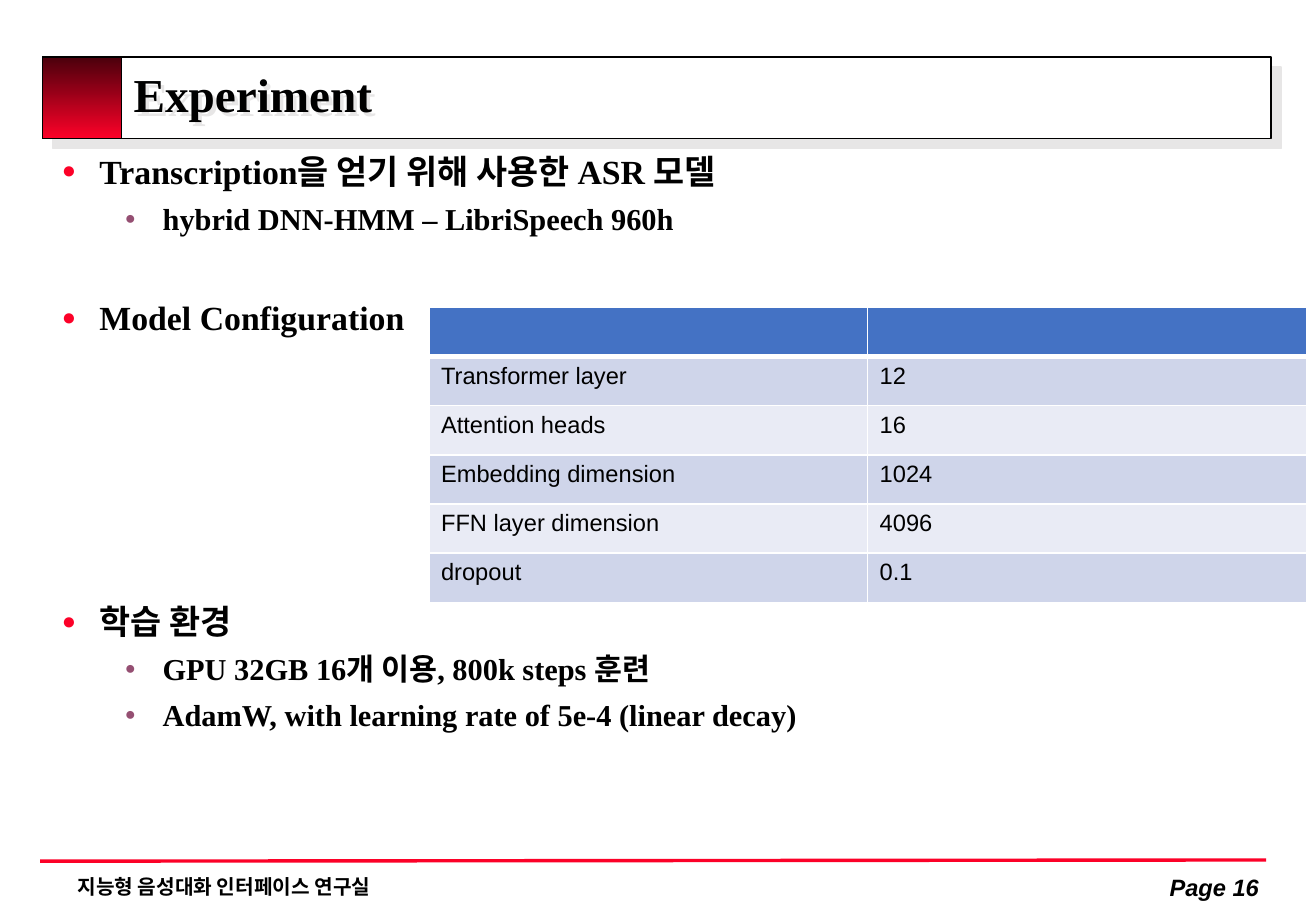
from dataclasses import dataclass

from lxml import etree
from pptx import Presentation
from pptx.dml.color import RGBColor
from pptx.enum.shapes import MSO_CONNECTOR, MSO_SHAPE
from pptx.enum.text import MSO_ANCHOR, MSO_AUTO_SIZE, PP_ALIGN
from pptx.oxml.ns import qn
from pptx.util import Inches, Pt

RECTANGLE = MSO_SHAPE.RECTANGLE
STRAIGHT = MSO_CONNECTOR.STRAIGHT
TOP, MIDDLE = MSO_ANCHOR.TOP, MSO_ANCHOR.MIDDLE
LEFT, RIGHT = PP_ALIGN.LEFT, PP_ALIGN.RIGHT
NO_AUTOFIT = MSO_AUTO_SIZE.NONE
TITLE_ONLY = 5


@dataclass(frozen=True)
class Theme:
    serif: str = "Times New Roman"
    sans: str = "Arial"
    ink: str = "000000"
    paper: str = "FFFFFF"
    accent: str = "FC0128"
    accent_dark: str = "4B000C"
    sub_bullet: str = "954F72"
    shadow: str = "E7E6E6"
    header: str = "4472C4"
    bands: tuple = ("CFD5EA", "E9EBF5")
    title_size: int = 28
    topic_size: int = 20
    detail_size: int = 18
    label_size: int = 14
    footer_size: int = 12


def rgb(value):
    return RGBColor.from_string(value)


def child(parent, tag, **attributes):
    return etree.SubElement(parent, qn(tag), attributes)


class SlideBuilder:
    def __init__(self, slide, theme):
        self.slide = slide
        self.theme = theme

    def format_runs(self, paragraph, size, font, bold=True, italic=False):
        for run in paragraph.runs:
            run.font.size = Pt(size)
            run.font.name = font
            run.font.bold = bold
            run.font.italic = italic
            run.font.color.rgb = rgb(self.theme.ink)

    def cast_shadow(self, shape, distance):
        shape.shadow.inherit = False
        effects = shape._element.spPr.find(qn("a:effectLst"))
        shadow = child(effects, "a:outerShdw", dist=str(Pt(distance)),
                       dir="2700000", algn="ctr", rotWithShape="0")
        child(shadow, "a:srgbClr", val=self.theme.shadow)

    def rectangle(self, left, top, width, height, gradient=None, shadow=0):
        box = self.slide.shapes.add_shape(
            RECTANGLE, Inches(left), Inches(top), Inches(width), Inches(height))
        box.shadow.inherit = False
        box.line.color.rgb = rgb(self.theme.ink)
        box.line.width = Pt(1)
        if gradient:
            box.fill.gradient()
            box.fill.gradient_angle = 270
            for stop, color in zip(box.fill.gradient_stops, gradient):
                stop.color.rgb = rgb(color)
        else:
            box.fill.solid()
            box.fill.fore_color.rgb = rgb(self.theme.paper)
        if shadow:
            self.cast_shadow(box, shadow)

    def rule(self, x1, y1, x2, y2):
        line = self.slide.shapes.add_connector(
            STRAIGHT, Inches(x1), Inches(y1), Inches(x2), Inches(y2))
        line.line.color.rgb = rgb(self.theme.accent)
        line.line.width = Pt(2)
        child(line._element.spPr, "a:effectLst")

    def title(self, text, left, top, width, height):
        heading = self.slide.shapes.title
        heading.left, heading.top = Inches(left), Inches(top)
        heading.width, heading.height = Inches(width), Inches(height)
        frame = heading.text_frame
        frame.text = text
        frame.vertical_anchor = MIDDLE
        frame.auto_size = NO_AUTOFIT
        paragraph = frame.paragraphs[0]
        paragraph.alignment = LEFT
        paragraph.line_spacing = 0.8
        self.format_runs(paragraph, self.theme.title_size, self.theme.serif)
        self.cast_shadow(heading, 3)
        self.slide.shapes._spTree.append(heading._element)

    def text_box(self, left, top, width, height, anchor=TOP, wrap=True):
        frame = self.slide.shapes.add_textbox(
            Inches(left), Inches(top), Inches(width), Inches(height)).text_frame
        frame.word_wrap = wrap
        frame.vertical_anchor = anchor
        return frame

    def label(self, text, left, top, width, height, size,
              align=LEFT, anchor=TOP, wrap=True, italic=False):
        frame = self.text_box(left, top, width, height, anchor, wrap)
        frame.text = text
        frame.paragraphs[0].alignment = align
        self.format_runs(frame.paragraphs[0], size, self.theme.sans, italic=italic)

    def bullets(self, items, left, top, width, height):
        theme = self.theme
        styles = ((theme.topic_size, 0.31, theme.accent, 70),
                  (theme.detail_size, 0.83, theme.sub_bullet, 60))
        frame = self.text_box(left, top, width, height)
        frame.text = "\n".join(text for _, _, text in items)
        for paragraph, (level, gap, _) in zip(frame.paragraphs, items):
            size, indent, color, scale = styles[level]
            paragraph.level = level
            paragraph.space_before = Pt(gap)
            self.format_runs(paragraph, size, theme.serif)
            properties = paragraph._p.get_or_add_pPr()
            properties.set("marL", str(Inches(indent)))
            properties.set("indent", str(Inches(-0.31)))
            child(child(properties, "a:buClr"), "a:srgbClr", val=color)
            child(properties, "a:buSzPct", val=str(scale * 1000))
            child(properties, "a:buFont", typeface=theme.sans)
            child(properties, "a:buChar", char="●")

    def border(self, cell, header):
        properties = cell._tc.get_or_add_tcPr()
        for side in ("L", "R", "T", "B"):
            width = 3 if header and side == "B" else 1
            edge = child(properties, f"a:ln{side}", w=str(Pt(width)))
            child(child(edge, "a:solidFill"), "a:srgbClr", val=self.theme.paper)

    def settings_table(self, settings, left, top, width, height):
        rows = [("", ""), *settings]
        table = self.slide.shapes.add_table(
            len(rows), 2, Inches(left), Inches(top), Inches(width), Inches(height)).table
        for row, values in enumerate(rows):
            color = self.theme.bands[(row - 1) % 2] if row else self.theme.header
            for column, value in enumerate(values):
                cell = table.cell(row, column)
                self.border(cell, header=row == 0)
                cell.fill.solid()
                cell.fill.fore_color.rgb = rgb(color)
                if value:
                    cell.text = value
                    self.format_runs(cell.text_frame.paragraphs[0],
                                     self.theme.label_size, self.theme.sans, bold=False)


def main():
    deck = Presentation()
    deck.slide_width, deck.slide_height = Inches(10.83), Inches(7.5)
    theme = Theme()
    page = SlideBuilder(deck.slides.add_slide(deck.slide_layouts[TITLE_ONLY]), theme)

    page.rectangle(0.35, 0.47, 10.11, 0.67, shadow=8.5)
    page.rectangle(0.35, 0.47, 0.65, 0.67, gradient=(theme.accent_dark, theme.accent))
    page.rule(0.33, 7.09, 10.42, 7.08)
    page.label("지능형 음성대화 인터페이스 연구실", 0.54, 7.15, 7.24, 0.3, theme.footer_size)
    page.title("Experiment", 1, 0.44, 9.5, 0.75)
    page.bullets([
        (0, 6, "Transcription을 얻기 위해 사용한 ASR 모델"),
        (1, 5.5, "hybrid DNN-HMM – LibriSpeech 960h"),
        (0, 35.7, "Model Configuration"),
        (0, 156, "학습 환경"),
        (1, 5.5, "GPU 32GB 16개 이용, 800k steps 훈련"),
        (1, 5.5, "AdamW, with learning rate of 5e-4 (linear decay)"),
    ], 0.41, 1.19, 10.12, 5.75)
    page.label("Page 16", 9.29, 7.14, 1.17, 0.33, theme.label_size,
               align=RIGHT, anchor=MIDDLE, wrap=False, italic=True)
    page.settings_table([
        ("Transformer layer", "12"),
        ("Attention heads", "16"),
        ("Embedding dimension", "1024"),
        ("FFN layer dimension", "4096"),
        ("dropout", "0.1"),
    ], 3.53, 2.53, 7.22, 2.43)
    deck.save("out.pptx")


if __name__ == "__main__":
    main()
